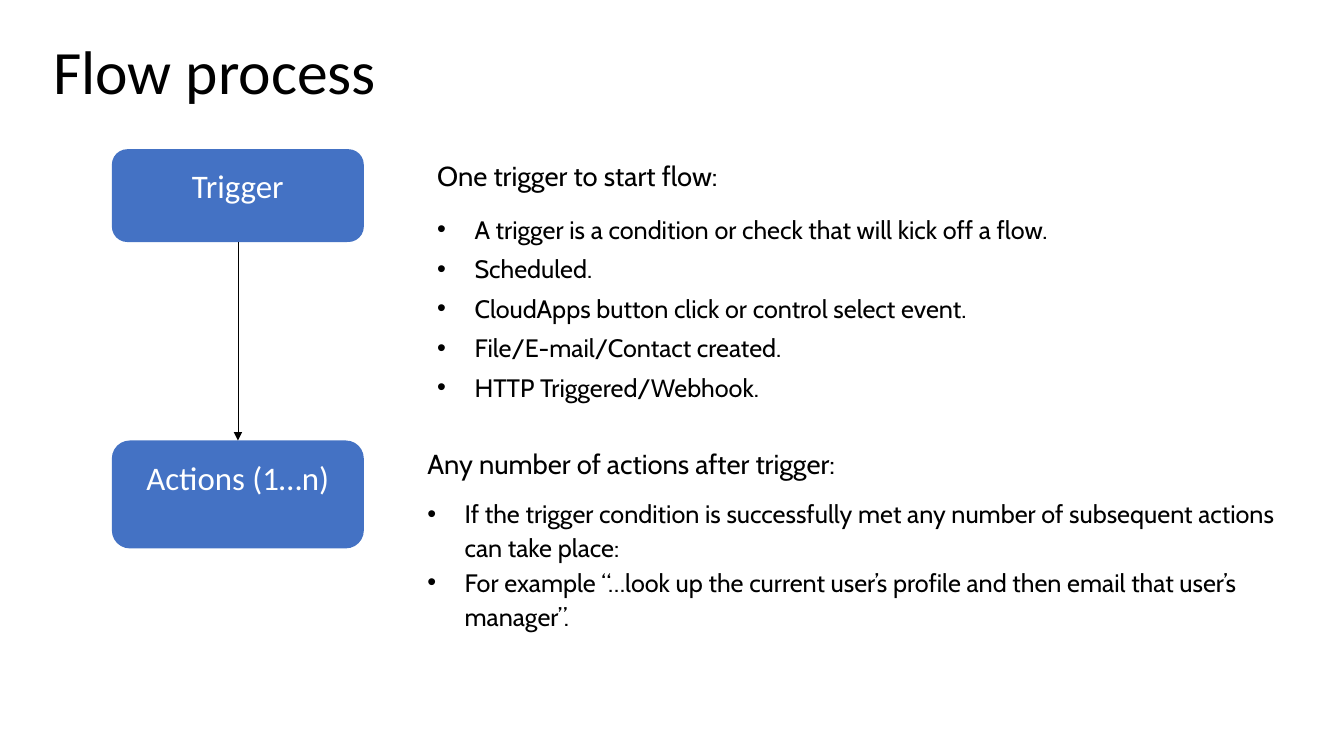
import pptx
import pptx.util
import pptx.dml.color
import pptx.enum.shapes
import pptx.enum.text
import pptx.oxml
import pptx.oxml.ns

Cm = pptx.util.Cm
Pt = pptx.util.Pt
ALIGN = pptx.enum.text.PP_ALIGN
ANCHOR = pptx.enum.text.MSO_ANCHOR

BLACK, WHITE, BLUE = "000000", "FFFFFF", "4472C4"
TEXT_LEFT = 10.77
TEXT_WIDTH = 19.53
HEADING = {"size": 19.6}
TRIGGERS = [
    "A trigger is a condition or check that will kick off a flow.",
    "Scheduled.",
    "CloudApps button click or control select event.",
    "File/E-mail/Contact created.",
    "HTTP Triggered/Webhook.",
]
ACTIONS = [
    "If the trigger condition is successfully met any number of subsequent actions can take place:",
    "For example “…look up the current user’s profile and then email that user’s manager”.",
]


def colour(value):
    """Turn a hex string into a colour."""
    return pptx.dml.color.RGBColor.from_string(value)


def element(parent, tag, **attributes):
    """Append a drawing element with its attributes."""
    child = pptx.oxml.ns.qn(tag)
    child = parent.makeelement(child, attributes)
    parent.append(child)
    return child


def add_bullet(para):
    """Give a paragraph a hanging round bullet."""
    properties = para._p.get_or_add_pPr()
    indent = Cm(0.94)
    properties.set("marL", str(indent))
    properties.set("indent", str(-indent))
    element(properties, "a:buFont", typeface="Arial")
    element(properties, "a:buChar", char="•")


def write(para, text, size=18, font="Cabin", fill=BLACK, spacing=1.14,
          before=0, align=ALIGN.LEFT, bullet=False):
    """Fill a paragraph with one formatted run."""
    if bullet:
        add_bullet(para)
    para.alignment = align
    para.line_spacing = spacing
    para.space_before = Pt(before)
    span = para.add_run()
    span.text = text
    span.font.size = Pt(size)
    span.font.name = font
    span.font.color.rgb = colour(fill)


def set_frame(frame, inset, anchor=ANCHOR.TOP):
    """Set wrapping, horizontal and vertical insets, and anchor."""
    frame.word_wrap = True
    frame.margin_left = frame.margin_right = Cm(inset[0])
    frame.margin_top = frame.margin_bottom = Cm(inset[1])
    frame.vertical_anchor = anchor


def add_text(page, place, lines, inset=(0.25, 0.13), anchor=ANCHOR.TOP,
             before=0, **style):
    """Add a text box with one paragraph per line."""
    frame = page.shapes.add_textbox(*map(Cm, place)).text_frame
    set_frame(frame, inset, anchor)
    for index, line in enumerate(lines):
        para = frame.add_paragraph() if index else frame.paragraphs[0]
        write(para, line, before=before if index else 0, **style)


def add_step(page, text, top, height):
    """Add a rounded box for one step of the flow."""
    box = page.shapes.add_shape(
        pptx.enum.shapes.MSO_SHAPE.ROUNDED_RECTANGLE,
        Cm(2.82), Cm(top), Cm(6.35), Cm(height))
    box.shadow.inherit = False
    box.fill.solid()
    box.fill.fore_color.rgb = colour(BLUE)
    box.line.fill.background()
    set_frame(box.text_frame, (0.51, 0.41))
    write(box.text_frame.paragraphs[0], text, size=23.5, font="Calibri",
          fill=WHITE, spacing=0.9, align=ALIGN.CENTER)
    return box


def add_arrow(page, upper, lower):
    """Join two steps with a downward arrow."""
    arrow = page.shapes.add_connector(
        pptx.enum.shapes.MSO_CONNECTOR.STRAIGHT, 0, 0, 0, 0)
    arrow.begin_connect(upper, 2)
    arrow.end_connect(lower, 0)
    arrow.line.color.rgb = colour(BLACK)
    arrow.line.width = Pt(0.5)
    element(arrow.line._get_or_add_ln(), "a:tailEnd", type="triangle")
    element(arrow._element.spPr, "a:effectLst")


def main():
    """Build the flow process slide."""
    deck = pptx.Presentation()
    deck.slide_width, deck.slide_height = Cm(33.87), Cm(19.05)
    page = deck.slides.add_slide(deck.slide_layouts[6])

    add_text(page, (1.09, 0.91, 29.21, 3.68), ["Flow process"],
             size=44, font="Calibri", spacing=0.9)

    trigger = add_step(page, "Trigger", 3.76, 2.34)
    actions = add_step(page, "Actions (1…n)", 11.1, 2.72)
    add_arrow(page, trigger, actions)

    add_text(page, (TEXT_LEFT, 3.76, TEXT_WIDTH, 1.04),
             ["One trigger to start flow:"], **HEADING)
    add_text(page, (TEXT_LEFT, 5.16, TEXT_WIDTH, 5.28), TRIGGERS,
             before=3.6, bullet=True)
    add_text(page, (TEXT_LEFT, 11.05, TEXT_WIDTH, 1.04),
             ["Any number of actions after trigger:"], inset=(0, 0),
             anchor=ANCHOR.BOTTOM, spacing=1.0, **HEADING)
    add_text(page, (TEXT_LEFT, 12.45, 21.89, 4.29), ACTIONS,
             inset=(0, 0), bullet=True)

    deck.save("out.pptx")


if __name__ == "__main__":
    main()
